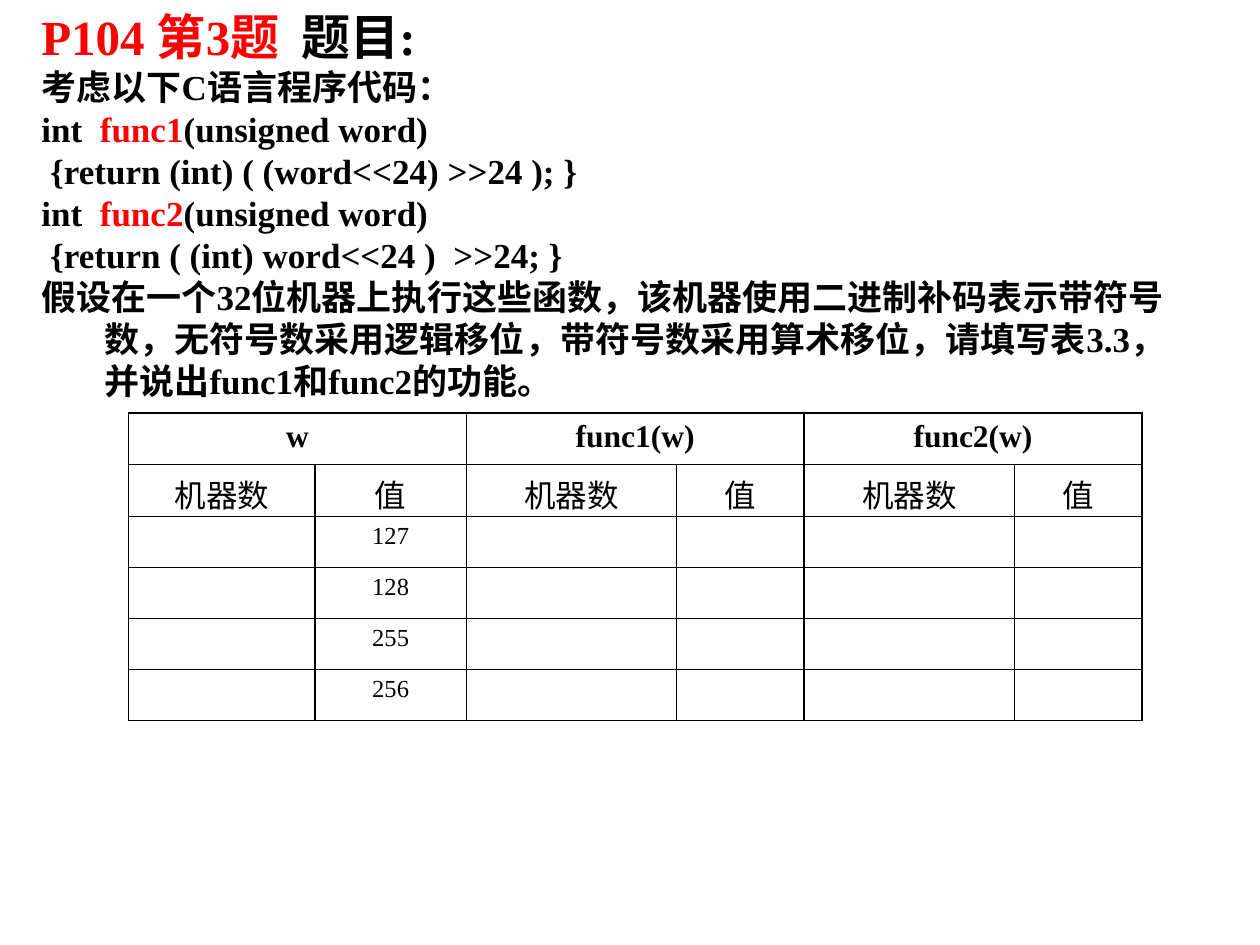
"""Build the slide on the two shift functions and their blank answer table."""
from dataclasses import dataclass

from lxml import etree
from pptx import Presentation
from pptx.dml.color import RGBColor
from pptx.enum.text import MSO_ANCHOR, MSO_AUTO_SIZE, PP_ALIGN
from pptx.oxml.ns import qn
from pptx.util import Cm, Pt

RED = RGBColor(0xFF, 0, 0)
BLACK = RGBColor(0, 0, 0)
FONT = "Times New Roman"
LEFT, CENTER = PP_ALIGN.LEFT, PP_ALIGN.CENTER
TOP = MSO_ANCHOR.TOP
FIXED = MSO_AUTO_SIZE.NONE
HANG = Cm(1.27)


@dataclass
class Part:
    text: str
    color: RGBColor = BLACK


@dataclass
class Box:
    left: float
    top: float
    width: float
    height: float


HEAD = [Part("P104 第3题", RED), Part("  题目:")]
LINES = [
    [Part("考虑以下C语言程序代码：")],
    [Part("int  "), Part("func1", RED), Part("(unsigned word)")],
    [Part(" {return (int) ( (word<<24) >>24 ); }")],
    [Part("int  "), Part("func2", RED), Part("(unsigned word)")],
    [Part(" {return ( (int) word<<24 )  >>24; }")],
    [Part("假设在一个32位机器上执行这些函数，该机器使用二进制补码表示带符号数，"
          "无符号数采用逻辑移位，带符号数采用算术移位，请填写表3.3，"
          "并说出func1和func2的功能。")],
]
GROUPS = ["w", "func1(w)", "func2(w)"]
VALUES = ["127", "128", "255", "256"]
ROWS = [
    [text for group in GROUPS for text in (group, "")],
    ["机器数", "值"] * len(GROUPS),
    *(["", value, "", "", "", ""] for value in VALUES),
]
COLS = [3.76, 3.05, 4.24, 2.57, 4.24, 2.57]
ROW = 1.03
GRID = Box(2.59, 8.33, sum(COLS), ROW * len(ROWS))


def style(font, size: int, bold: bool, color: RGBColor = BLACK) -> None:
    font.name, font.size, font.bold = FONT, Pt(size), bold
    font.color.rgb = color


def place(shape, box: Box, inset: float) -> None:
    shape.left, shape.top = Cm(box.left), Cm(box.top)
    shape.width, shape.height = Cm(box.width), Cm(box.height)
    frame = shape.text_frame
    frame.word_wrap, frame.auto_size = True, FIXED
    frame.vertical_anchor = TOP
    frame.margin_top, frame.margin_bottom = Cm(inset), 0


def write(para, parts: list[Part], size: int) -> None:
    para.alignment = LEFT
    para.space_before = Pt(0)
    for part in parts:
        run = para.add_run()
        run.text = part.text
        style(run.font, size, True, part.color)


def hang(para) -> None:
    props = para._p.get_or_add_pPr()
    props.set("marL", str(HANG))
    props.set("indent", str(-HANG))
    etree.SubElement(props, qn("a:buNone"))


def border(cell) -> None:
    props = cell._tc.get_or_add_tcPr()
    for side in ("lnL", "lnR", "lnT", "lnB"):
        line = etree.SubElement(props, qn(f"a:{side}"), w=str(Pt(1)))
        fill = etree.SubElement(line, qn("a:solidFill"))
        etree.SubElement(fill, qn("a:srgbClr"), val=str(BLACK))


def fill_cell(cell, text: str, size: int, bold: bool) -> None:
    border(cell)
    cell.fill.background()
    cell.margin_bottom = 0
    if text:
        cell.text_frame.text = text
        para = cell.text_frame.paragraphs[0]
        para.alignment = CENTER
        style(para.runs[0].font, size, bold)


def draw_grid(slide, box: Box) -> None:
    frame = slide.shapes.add_table(
        len(ROWS), len(COLS),
        Cm(box.left), Cm(box.top), Cm(box.width), Cm(box.height))
    table = frame.table
    table.first_row = table.horz_banding = False
    for col, width in zip(table.columns, COLS):
        col.width = Cm(width)
    for y, texts in enumerate(ROWS):
        table.rows[y].height = Cm(ROW)
        for x, text in enumerate(texts):
            fill_cell(table.cell(y, x), text, 18 if y < 2 else 14, y == 0)
    for x in range(0, len(COLS), 2):
        table.cell(0, x).merge(table.cell(0, x + 1))


def main() -> None:
    deck = Presentation()
    deck.slide_width, deck.slide_height = Cm(25.4), Cm(19.05)
    slide = deck.slides.add_slide(deck.slide_layouts[1])
    title, body = slide.shapes.title, slide.placeholders[1]
    place(title, Box(0.58, 0, 23.42, 1.32), 0.13)
    write(title.text_frame.paragraphs[0], HEAD, 28)
    place(body, Box(0.58, 1.32, 23.42, 6.96), 0)
    frame = body.text_frame
    for i, parts in enumerate(LINES):
        para = frame.add_paragraph() if i else frame.paragraphs[0]
        hang(para)
        write(para, parts, 20)
    draw_grid(slide, GRID)
    deck.save("out.pptx")


if __name__ == "__main__":
    main()
